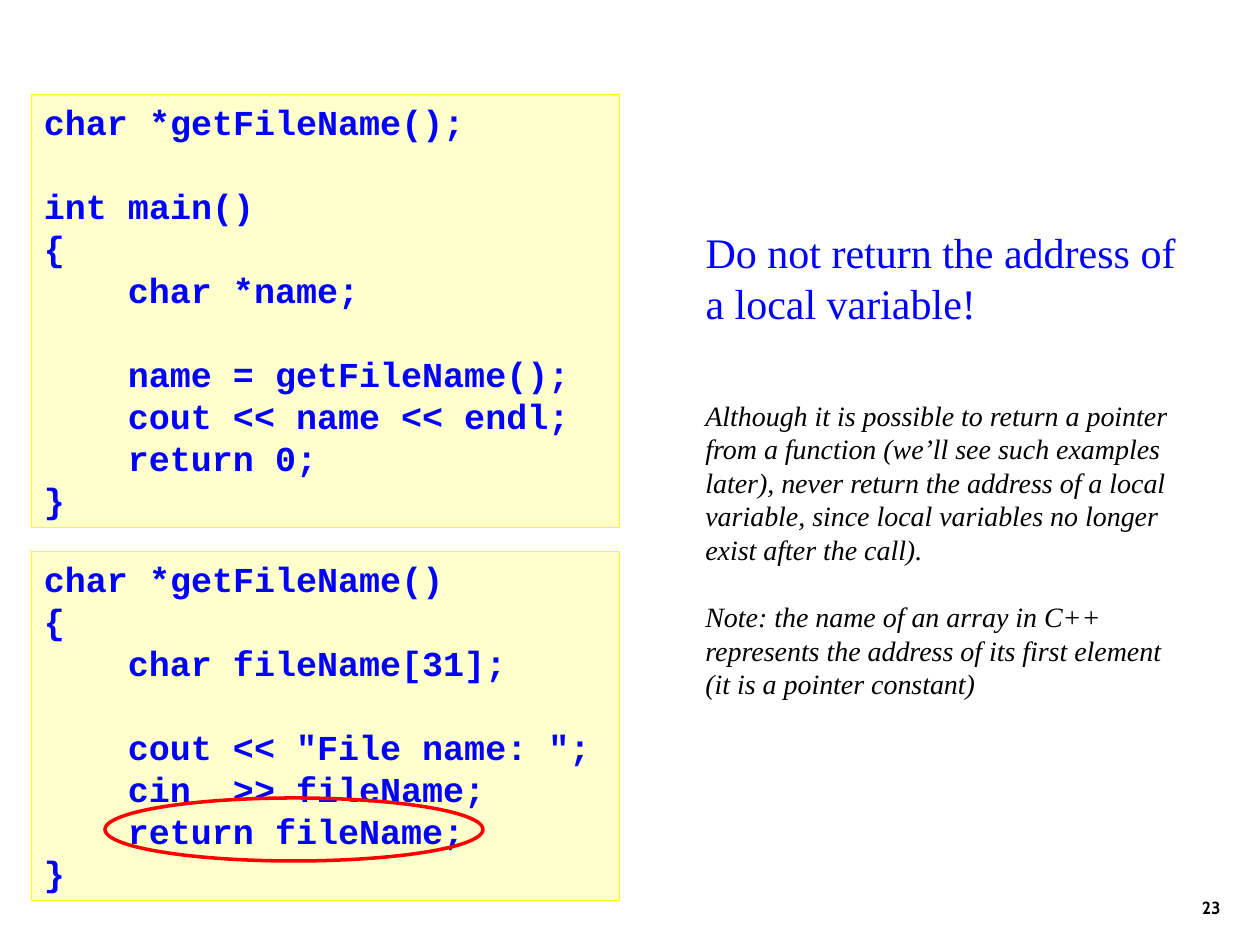
"""Build the slide that warns against returning the address of a local variable."""
from dataclasses import dataclass

from pptx import Presentation
from pptx.dml.color import RGBColor
from pptx.enum.shapes import MSO_SHAPE as Preset
from pptx.enum.text import MSO_ANCHOR as Anchor, MSO_AUTO_SIZE as AutoSize, PP_ALIGN as Align
from pptx.util import Pt

BLUE, BLACK, RED = "0000FF", "000000", "FF0000"
PALE_YELLOW, YELLOW = "FFFFCC", "FFFF00"
LINE_FACTOR = 1.2
CODE_INDENT = 48


@dataclass(frozen=True)
class Box:
    left: float
    top: float
    width: float
    height: float

    def lengths(self) -> tuple:
        return Pt(self.left), Pt(self.top), Pt(self.width), Pt(self.height)


@dataclass(frozen=True)
class Style:
    font: str
    size: float
    color: str
    bold: bool = False
    italic: bool = False


@dataclass(frozen=True)
class CodePanel:
    box: Box
    code: str


CODE = Style("Courier New", 20, BLUE, bold=True)
HEADING = Style("Times New Roman", 24, BLUE)
NOTE = Style("Times New Roman", 16, BLACK, italic=True)
NUMBER = Style("Cabin", 10, BLACK, bold=True)

PANELS = (
    CodePanel(Box(18, 54, 336, 247.5), """char *getFileName();

int main()
{
    char *name;

    name = getFileName();
    cout << name << endl;
    return 0;
}"""),
    CodePanel(Box(18, 315, 336, 199.5), """char *getFileName()
{
    char fileName[31];

    cout << "File name: ";
    cin  >> fileName;
    return fileName;
}"""),
)
WARNING = "Do not return the address of a local variable!"
EXPLANATION = """Although it is possible to return a pointer from a function \
(we’ll see such examples later), never return the address of a local variable, \
since local variables no longer exist after the call).

Note: the name of an array in C++ represents the address of its first element \
(it is a pointer constant)"""


def rgb(color: str) -> RGBColor:
    return RGBColor.from_string(color)


def write_text(shape, text: str, style: Style, align=Align.LEFT, anchor=Anchor.TOP) -> None:
    """Write one paragraph per line, turning blank lines and indents into formatting."""
    frame = shape.text_frame
    frame.word_wrap = True
    frame.auto_size = AutoSize.NONE
    frame.vertical_anchor = anchor
    lines = text.split("\n")
    frame.text = "\n".join(line.lstrip() for line in lines if line)
    filled = [index for index, line in enumerate(lines) if line]
    pitch = style.size * LINE_FACTOR
    for paragraph, index in zip(frame.paragraphs, filled):
        paragraph.alignment = align
        paragraph.line_spacing = Pt(pitch)
        after_blank = index > 0 and not lines[index - 1]
        paragraph.space_before = Pt(pitch if after_blank else 0)
        if lines[index].startswith(" "):
            paragraph._p.get_or_add_pPr().set("marL", str(Pt(CODE_INDENT)))
        for run in paragraph.runs:
            font = run.font
            font.name, font.size = style.font, Pt(style.size)
            font.bold, font.italic = style.bold, style.italic
            font.color.rgb = rgb(style.color)


def add_preset(slide, preset, box: Box, line: str, weight: float, fill: str = ""):
    shape = slide.shapes.add_shape(preset, *box.lengths())
    shape.shadow.inherit = False
    shape.line.color.rgb = rgb(line)
    shape.line.width = Pt(weight)
    if fill:
        shape.fill.solid()
        shape.fill.fore_color.rgb = rgb(fill)
    else:
        shape.fill.background()
    return shape


def add_text(slide, box: Box, text: str, style: Style, **layout) -> None:
    write_text(slide.shapes.add_textbox(*box.lengths()), text, style, **layout)


def main() -> None:
    presentation = Presentation()
    presentation.slide_width, presentation.slide_height = Pt(720), Pt(540)
    slide = presentation.slides.add_slide(presentation.slide_layouts[5])

    title = slide.shapes.title
    title.left, title.top, title.width, title.height = Box(396, 126, 294, 65).lengths()
    write_text(title, WARNING, HEADING)

    for panel in PANELS:
        shape = add_preset(slide, Preset.RECTANGLE, panel.box, YELLOW, 0.75, PALE_YELLOW)
        write_text(shape, panel.code, CODE)
    add_preset(slide, Preset.OVAL, Box(60, 456, 216, 36), RED, 2)

    add_text(slide, Box(396, 224, 284.5, 180), EXPLANATION, NOTE)
    add_text(slide, Box(554.5, 492, 150, 36), "23", NUMBER,
             align=Align.RIGHT, anchor=Anchor.BOTTOM)
    presentation.save("out.pptx")


if __name__ == "__main__":
    main()
